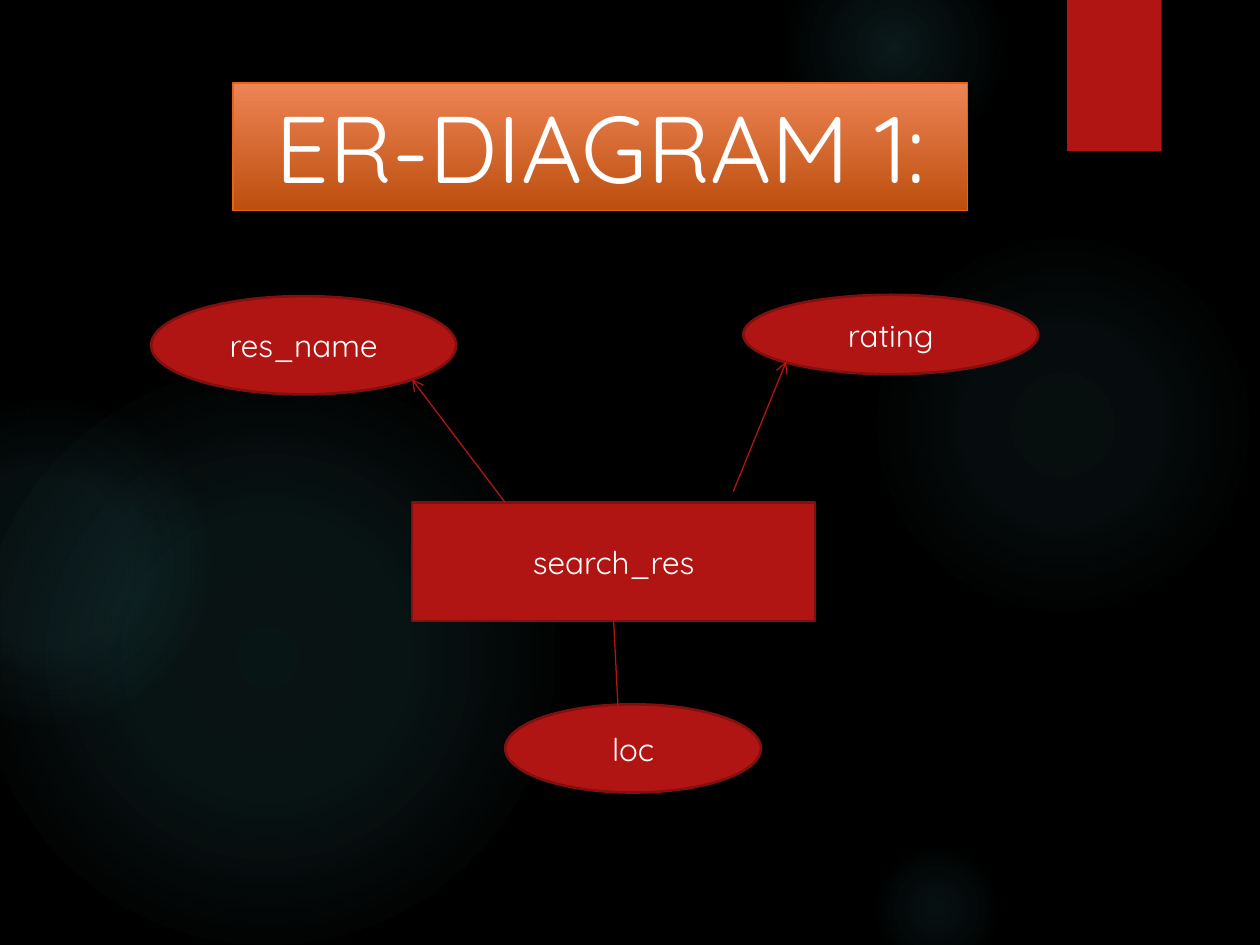
import dataclasses
import typing

import lxml.etree
import pptx
import pptx.dml.color
import pptx.enum.shapes
import pptx.enum.text
import pptx.oxml
import pptx.oxml.ns
import pptx.util

qn = pptx.oxml.ns.qn
Kind = pptx.enum.shapes.MSO_SHAPE
Text = pptx.enum.text

# The slide is a grid of 100 columns by 75 rows
COLS, ROWS = 100, 75
CELL = pptx.util.Inches(0.1)


@dataclasses.dataclass(frozen=True)
class Theme:
    back: str = "000000"
    glow: str = "50B9C1"
    red: str = "B01513"
    edge: str = "82100E"
    text: str = "FFFFFF"
    shade: str = "000000"
    top: str = "EE8455"
    base: str = "BC4F0E"
    rim: str = "EA6312"
    font: str = "Quicksand"
    head: int = 54
    body: int = 18
    thin: float = 0.75
    bold: float = 1.5


class Box(typing.NamedTuple):
    col: float
    row: float
    wide: float
    high: float


class Glow(typing.NamedTuple):
    col: float
    row: float
    size: float
    stops: tuple  # (position, opacity) in percent


class Node(typing.NamedTuple):
    label: str
    kind: Kind
    box: Box


class Link(typing.NamedTuple):
    start: tuple
    end: tuple


THEME = Theme()
GLOWS = [
    Glow(68.9, 18.3, 30.8, ((0, 7), (36, 6), (69, 0))),
    Glow(62.2, -5, 17.5, ((0, 14), (36, 7), (73, 0))),
    Glow(68.9, 66.7, 10.8, ((0, 9), (36, 5), (66, 0))),
    Glow(-1.7, 29.2, 45.8, ((0, 11), (36, 10), (75, 0))),
    Glow(-9.2, 31.7, 25.8, ((0, 8), (36, 8), (72, 0))),
]
RIBBON = Box(84.7, 0, 7.5, 12)
TITLE = Box(18.5, 6.6, 58.3, 10.1)
NODES = [
    Node("search_res", Kind.RECTANGLE, Box(32.7, 39.9, 32, 9.4)),
    Node("rating", Kind.OVAL, Box(59, 23.4, 23.4, 6.3)),
    Node("res_name", Kind.OVAL, Box(12, 23.5, 24.2, 7.8)),
    Node("loc", Kind.OVAL, Box(40.1, 55.9, 20.3, 7)),
]
LINKS = [
    Link((40.1, 39.9), (32.7, 30.1)),
    Link((58.2, 39), (62.4, 28.7)),
    Link((48.7, 49.2), (49.1, 57.1)),
]


def rgb(code: str):
    return pptx.dml.color.RGBColor.from_string(code)


def cells(*counts: float) -> list:
    return [round(count * CELL) for count in counts]


def sub(node, tag: str, **attrs):
    return lxml.etree.SubElement(node, qn(tag), {k: str(v) for k, v in attrs.items()})


def tint(node, code: str, share: int) -> None:
    sub(sub(node, "a:srgbClr", val=code), "a:alpha", val=share * 1000)


def add_shape(slide, kind: Kind, box: Box):
    shape = slide.shapes.add_shape(kind, *cells(*box))
    shape.shadow.inherit = False
    shape.line.fill.background()
    return shape


def paint(shape, code: str) -> None:
    shape.fill.solid()
    shape.fill.fore_color.rgb = rgb(code)


def stroke(line, code: str, width: float) -> None:
    line.color.rgb = rgb(code)
    line.width = pptx.util.Pt(width)


def cast(shape) -> None:
    """Drop a soft shadow straight down."""
    shape.shadow.inherit = False
    effects = shape._element.spPr.find(qn("a:effectLst"))
    drop = sub(effects, "a:outerShdw", blurRad=pptx.util.Pt(3),
               dist=pptx.util.Pt(2), dir=90 * 60000, rotWithShape=0)
    tint(drop, THEME.shade, 45)


def write(shape, words: str, size: int) -> None:
    para = shape.text_frame.paragraphs[0]
    para.text = words
    para.alignment = Text.PP_ALIGN.CENTER
    para.font.name = THEME.font
    para.font.size = pptx.util.Pt(size)
    para.font.color.rgb = rgb(THEME.text)


def add_glow(slide, glow: Glow) -> None:
    shape = add_shape(slide, Kind.OVAL, Box(glow.col, glow.row, glow.size, glow.size))
    shape.fill.gradient()
    grad = shape._element.spPr.find(qn("a:gradFill"))
    for child in list(grad):
        grad.remove(child)
    stops = sub(grad, "a:gsLst")
    for pos, share in glow.stops:
        tint(sub(stops, "a:gs", pos=pos * 1000), THEME.glow, share)
    sub(sub(grad, "a:path", path="circle"), "a:fillToRect",
        l=50000, t=50000, r=50000, b=50000)


def add_node(slide, node: Node) -> None:
    shape = add_shape(slide, node.kind, node.box)
    paint(shape, THEME.red)
    stroke(shape.line, THEME.edge, THEME.bold)
    shape.text_frame.word_wrap = True
    shape.text_frame.vertical_anchor = Text.MSO_ANCHOR.MIDDLE
    write(shape, node.label, THEME.body)


def add_link(slide, link: Link) -> None:
    line = slide.shapes.add_connector(
        pptx.enum.shapes.MSO_CONNECTOR.STRAIGHT, *cells(*link.start, *link.end))
    stroke(line.line, THEME.red, THEME.thin)
    sub(line.line._get_or_add_ln(), "a:tailEnd", type="arrow")
    sub(line._element.spPr, "a:effectLst")


def set_title(slide, words: str, box: Box) -> None:
    title = slide.shapes.title
    title.left, title.top, title.width, title.height = cells(*box)
    title.fill.gradient()
    title.fill.gradient_angle = 270  # counter-clockwise: top to bottom
    for stop, code, pos in zip(title.fill.gradient_stops,
                               (THEME.top, THEME.base), (0, 1)):
        stop.color.rgb = rgb(code)
        stop.position = pos
    stroke(title.line, THEME.rim, THEME.thin)
    cast(title)
    frame = title.text_frame
    frame.word_wrap = False
    frame.auto_size = Text.MSO_AUTO_SIZE.SHAPE_TO_FIT_TEXT
    frame.vertical_anchor = Text.MSO_ANCHOR.TOP
    write(title, words, THEME.head)
    slide.shapes._spTree.append(title._element)  # bring to front


def main() -> None:
    deck = pptx.Presentation()
    deck.slide_width, deck.slide_height = cells(COLS, ROWS)
    slide = deck.slides.add_slide(deck.slide_layouts.get_by_name("Title Only"))

    # Backdrop
    paint(slide.background, THEME.back)
    for glow in GLOWS:
        add_glow(slide, glow)
    ribbon = add_shape(slide, Kind.RECTANGLE, RIBBON)
    paint(ribbon, THEME.red)
    cast(ribbon)

    # Entity, attributes and their links
    for node in NODES:
        add_node(slide, node)
    for link in LINKS:
        add_link(slide, link)

    set_title(slide, "ER-DIAGRAM 1:", TITLE)
    deck.save("out.pptx")


if __name__ == "__main__":
    main()
